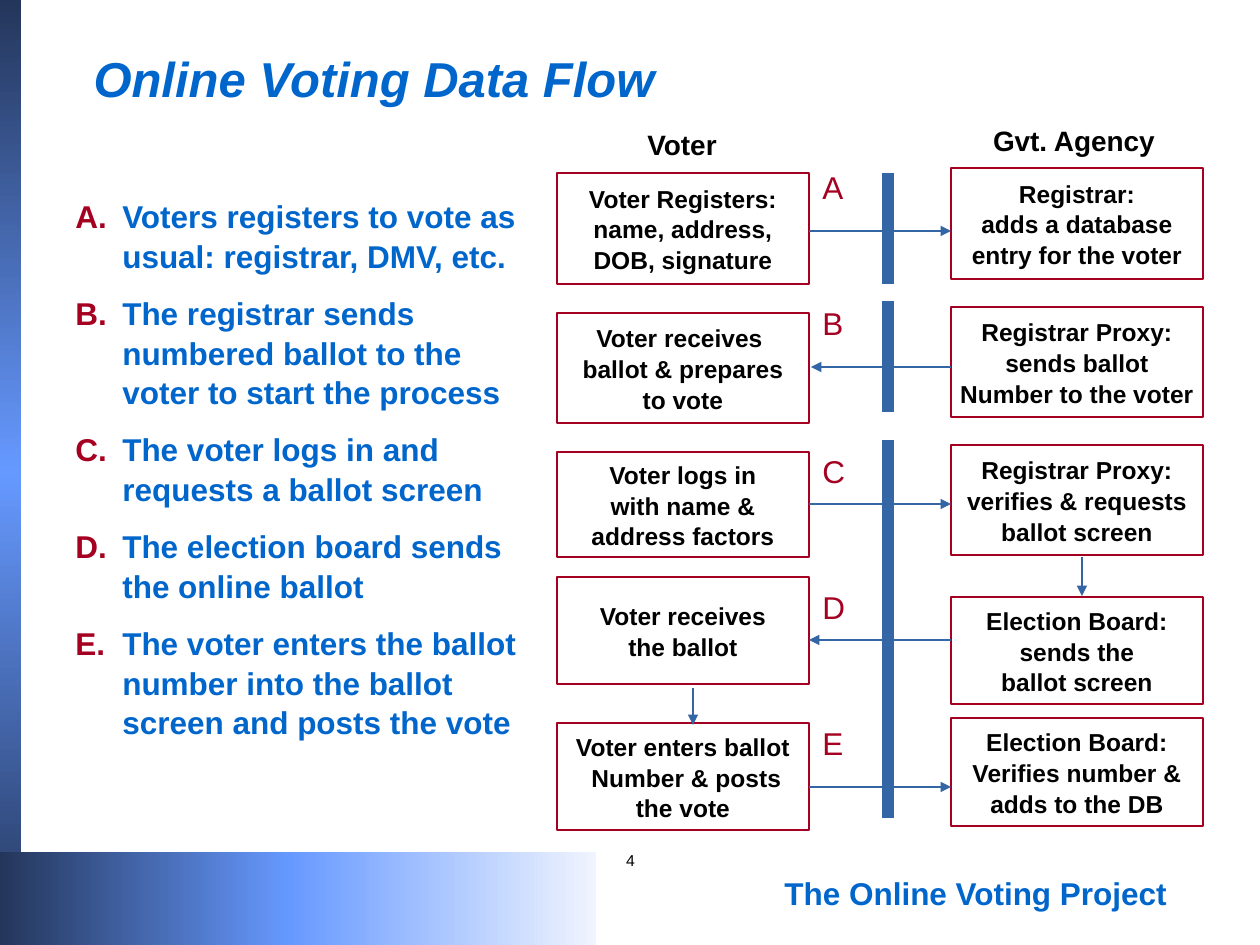
from copy import deepcopy
from pptx import Presentation
from pptx.dml.color import RGBColor
from pptx.enum.shapes import MSO_CONNECTOR, MSO_SHAPE
from pptx.enum.text import MSO_ANCHOR, MSO_AUTO_SIZE, PP_ALIGN
from pptx.oxml.ns import qn
from pptx.oxml.xmlchemy import OxmlElement
from pptx.util import Pt

SCALE = 914400 / 126
NAVY, SKY, PALE = "24365B", "6699FF", "F0F4FE"
BLUE, RED, STEEL, BLACK = "0066CC", "A50021", "3465A4", "000000"
LEFT, MID = PP_ALIGN.LEFT, PP_ALIGN.CENTER


def px(*nums):
    """Turn pixel lengths into a list of EMU."""
    return [round(n * SCALE) for n in nums]


def tint(code):
    """Turn a hex string into a colour."""
    return RGBColor.from_string(code)


def add(parent, tag, **attrs):
    """Append a drawing element and return it."""
    node = OxmlElement(tag)
    for key, value in attrs.items():
        node.set(key, value)
    parent.append(node)
    return node


class Page:
    """Holds the text style and the current slide."""

    font = "Arial"
    pitch = 1.05

    def __init__(self, deck):
        """Start a title-only slide."""
        self.slide = deck.slides.add_slide(deck.slide_layouts[5])
        self.shapes = self.slide.shapes

    def fill(self, frame, lines, size, color, bold=True, italic=False,
             align=LEFT, gap=0):
        """Fill a text frame, one run per paragraph."""
        for i, line in enumerate(lines):
            para = frame.add_paragraph() if i else frame.paragraphs[0]
            para.alignment = align
            para.line_spacing = self.pitch
            para.space_before = para.space_after = Pt(gap)
            run = para.add_run()
            run.text = line
            font = run.font
            font.name, font.size = self.font, Pt(size)
            font.bold, font.italic = bold, italic
            font.color.rgb = tint(color)

    def title(self, box, text):
        """Place and format the title."""
        shape = self.shapes.title
        shape.left, shape.top, shape.width, shape.height = px(*box)
        frame = shape.text_frame
        frame.auto_size = MSO_AUTO_SIZE.NONE
        frame.vertical_anchor = MSO_ANCHOR.MIDDLE
        self.fill(frame, [text], 28, BLUE, italic=True)

    def text(self, box, lines, size, color, wrap=False, **style):
        """Add a text box and return its frame."""
        frame = self.shapes.add_textbox(*px(*box)).text_frame
        frame.word_wrap = wrap
        self.fill(frame, lines, size, color, **style)
        return frame

    def list(self, box, lines):
        """Add a lettered list."""
        frame = self.text(box, lines, 18, BLUE, wrap=True, gap=5)
        indent = px(47)[0]
        for para in frame.paragraphs:
            props = para._p.get_or_add_pPr()
            props.set("marL", str(indent))
            props.set("indent", str(-indent))
            add(add(props, "a:buClr"), "a:srgbClr", val=RED)
            add(props, "a:buFont", typeface=self.font)
            add(props, "a:buAutoNum", type="alphaUcPeriod")

    def fade(self, box, colors, angle=0):
        """Add a gradient band with evenly spaced stops."""
        shape = self.shapes.add_shape(MSO_SHAPE.RECTANGLE, *px(*box))
        shape.shadow.inherit = False
        shape.line.fill.background()
        shape.fill.gradient()
        shape.fill.gradient_angle = angle
        stops = shape.element.find(".//" + qn("a:gsLst"))
        while len(stops) < len(colors):
            stops.append(deepcopy(stops[-1]))
        for i, (stop, code) in enumerate(zip(shape.fill.gradient_stops, colors)):
            stop.position = i / (len(colors) - 1)
            stop.color.rgb = tint(code)

    def step(self, box, lines):
        """Add a process box."""
        shape = self.shapes.add_shape(MSO_SHAPE.FLOWCHART_PROCESS, *px(*box))
        shape.shadow.inherit = False
        shape.fill.background()
        shape.line.color.rgb = tint(RED)
        shape.line.width = Pt(0.75)
        frame = shape.text_frame
        frame.word_wrap = False
        frame.vertical_anchor = MSO_ANCHOR.MIDDLE
        self.fill(frame, lines, 14, BLACK, align=MID)

    def line(self, ends, width=0.75, arrow=True):
        """Add a straight line, with an arrowhead at its end if asked."""
        link = self.shapes.add_connector(MSO_CONNECTOR.STRAIGHT, *px(*ends))
        link.line.color.rgb = tint(STEEL)
        link.line.width = Pt(width)
        props = link.element.spPr
        if arrow:
            add(props.find(qn("a:ln")), "a:tailEnd", type="triangle")
        add(props, "a:effectLst")


POINTS = [
    "Voters registers to vote as usual: registrar, DMV, etc.",
    "The registrar sends numbered ballot to the voter to start the process",
    "The voter logs in and requests a ballot screen",
    "The election board sends the online ballot",
    "The voter enters the ballot number into the ballot screen and posts the vote",
]
VOTER = [
    (173, 111, ["Voter Registers:", "name, address,", "DOB, signature"]),
    (313, 110, ["Voter receives ", "ballot & prepares", "to vote"]),
    (452, 105, ["Voter logs in", "with name &", "address factors"]),
    (577, 107, ["Voter receives", "the ballot"]),
    (723, 107, ["Voter enters ballot", " Number & posts", "the vote"]),
]
AGENCY = [
    (168, 111, ["Registrar:", "adds a database", "entry for the voter"]),
    (307, 110, ["Registrar Proxy:", "sends ballot", "Number to the voter"]),
    (445, 110, ["Registrar Proxy:", "verifies & requests", "ballot screen"]),
    (597, 107, ["Election Board:", "sends the", "ballot screen"]),
    (718, 108, ["Election Board:", "Verifies number &", "adds to the DB"]),
]
FLOWS = [("A", 160, 231, 809, 951), ("B", 296, 367, 951, 811),
         ("C", 444, 504, 809, 951), ("D", 580, 640, 951, 809),
         ("E", 716, 787, 809, 951)]
BARS = [(173, 284), (301, 412), (440, 818)]
DROPS = [(1082, 557, 596), (693, 688, 725)]


def main():
    """Build the slide and save it."""
    deck = Presentation()
    deck.slide_width, deck.slide_height = px(1260, 945)
    page = Page(deck)
    page.fade((0, 0, 21, 945), [NAVY, SKY, NAVY], 270)
    page.fade((0, 852, 291, 93), [NAVY, SKY])
    page.fade((289, 852, 307, 93), [SKY, PALE])
    page.text((590, 844, 81, 32), ["4"], 9, BLACK, wrap=True, bold=False, align=MID)
    page.text((772, 866, 411, 50), ["The Online Voting Project"], 18, BLUE)
    page.title((81, 42, 1089, 69), "Online Voting Data Flow")
    page.list((63, 189, 494, 620), POINTS)
    page.text((634, 120, 96, 47), ["Voter"], 16, BLACK, align=MID, gap=5)
    page.text((980, 116, 188, 47), ["Gvt. Agency"], 16, BLACK, align=MID, gap=5)
    for left, steps in ((557, VOTER), (951, AGENCY)):
        for top, height, lines in steps:
            page.step((left, top, 252, height), lines)
    for top, end in BARS:
        page.line((888, top, 888, end), 7.2, arrow=False)
    for mark, top, y, start, end in FLOWS:
        page.line((start, y, end, y))
        page.text((810, top, 47, 50), [mark], 18, RED, bold=False)
    for x, top, end in DROPS:
        page.line((x, top, x, end))
    deck.save("out.pptx")


if __name__ == "__main__":
    main()
